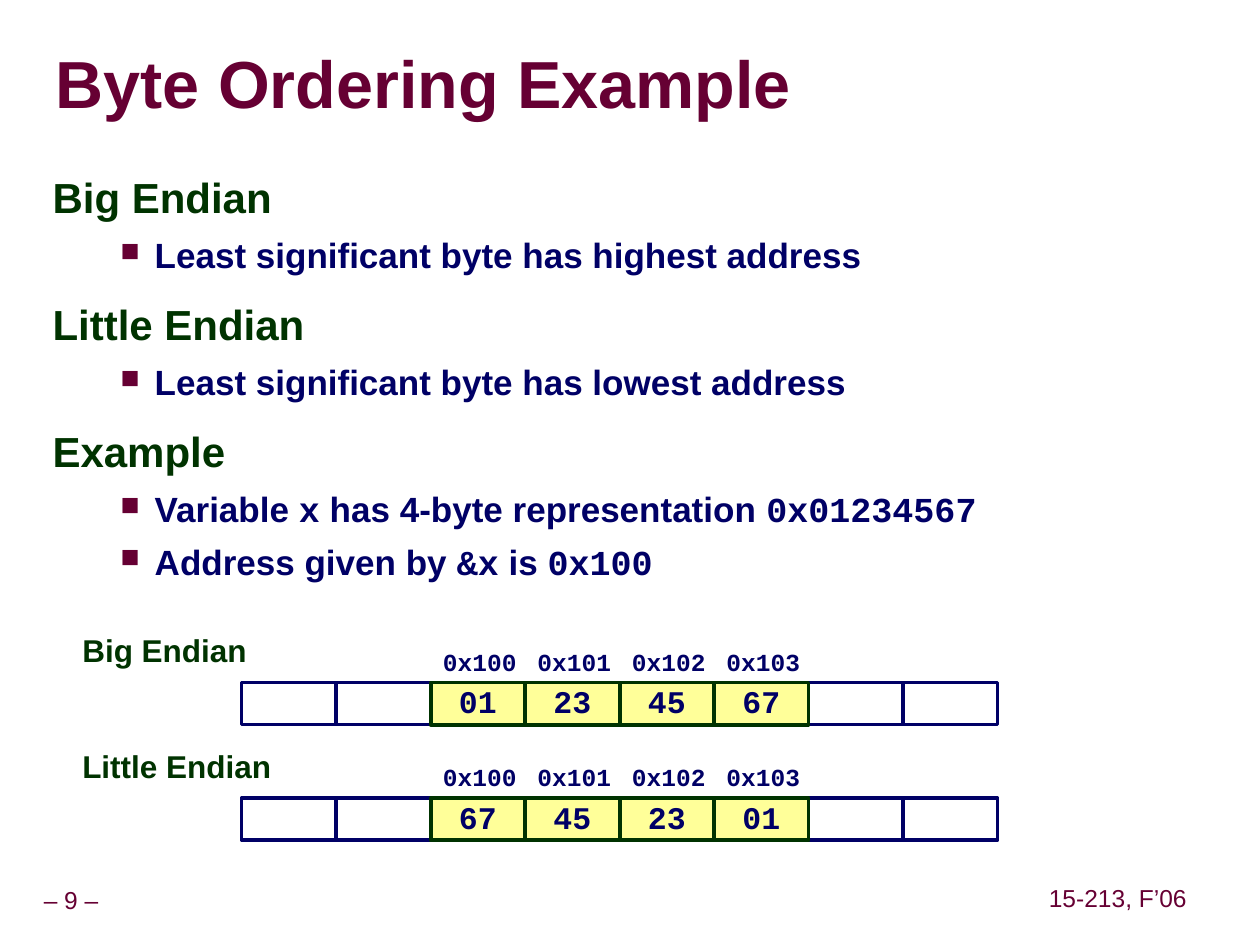
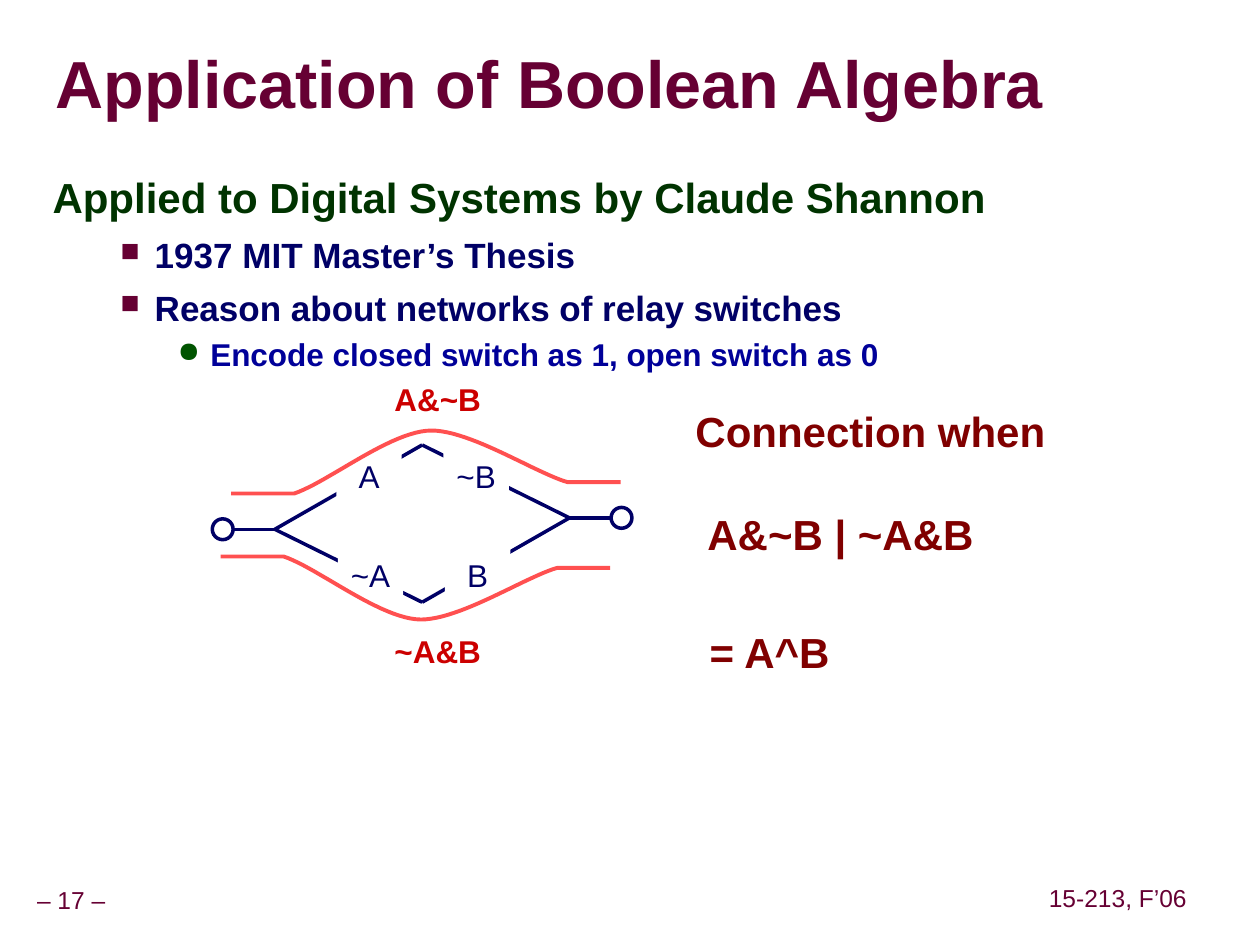
"""Build two lecture slides: byte ordering and an application of Boolean algebra."""
from dataclasses import dataclass, replace
from typing import NamedTuple, Optional

from lxml.etree import SubElement
from pptx import Presentation
from pptx.dml.color import RGBColor
from pptx.enum.shapes import MSO_CONNECTOR, MSO_SHAPE
from pptx.enum.text import MSO_ANCHOR, PP_ALIGN
from pptx.oxml import parse_xml
from pptx.oxml.ns import nsdecls, qn
from pptx.util import Cm, Pt


@dataclass(frozen=True)
class Theme:
    """Colours, fonts and type sizes shared by the slides."""
    maroon: str = "660033"
    green: str = "003300"
    bullet_green: str = "005400"
    navy: str = "000066"
    blue: str = "000099"
    formula: str = "800000"
    path_label: str = "CC0000"
    path_line: str = "FF5050"
    byte_fill: str = "FFFF99"
    white: str = "FFFFFF"
    shadow: str = "999999"
    sans: str = "Arial"
    mono: str = "Courier New"
    title: float = 38
    heading: float = 24
    point: float = 20
    label: float = 18
    small: float = 14


THEME = Theme()


class Box(NamedTuple):
    """A rectangle in centimetres."""
    left: float
    top: float
    width: float
    height: float

    def lengths(self) -> list:
        """Return the four lengths for python-pptx."""
        return [Cm(value) for value in self]


class Point(NamedTuple):
    """A position in centimetres."""
    x: float
    y: float


class Run(NamedTuple):
    """A stretch of text, set as code or as prose."""
    text: str
    code: bool = False


class Line(NamedTuple):
    """One body paragraph: its outline level and its runs."""
    level: int
    runs: list


@dataclass(frozen=True)
class TextStyle:
    """How a piece of text is set inside its shape."""
    size: float
    color: str
    bold: bool = False
    font: str = THEME.sans
    align: PP_ALIGN = PP_ALIGN.LEFT
    anchor: MSO_ANCHOR = MSO_ANCHOR.TOP
    spacing: Optional[float] = None
    inset: tuple = (0.25, 0.13)
    wrap: bool = False
    shadow: bool = False


@dataclass(frozen=True)
class Level:
    """An outline level of the body text."""
    style: TextStyle
    margin: float
    hanging: float
    before: float
    bullet: str = ""
    bullet_color: str = ""
    bullet_percent: int = 100


CENTERED = TextStyle(THEME.label, THEME.navy, align=PP_ALIGN.CENTER,
                     anchor=MSO_ANCHOR.MIDDLE, spacing=0.9, inset=(0.13, 0.13))
FOOTER = replace(CENTERED, size=THEME.small, color=THEME.maroon)
TITLE = TextStyle(THEME.title, THEME.maroon, True, anchor=MSO_ANCHOR.MIDDLE,
                  spacing=0.87, inset=(0, 0), wrap=True, shadow=True)
BYTE = replace(CENTERED, bold=True, font=THEME.mono)
ADDRESS = TextStyle(THEME.small, THEME.navy, True, THEME.mono,
                    anchor=MSO_ANCHOR.MIDDLE)
ROW_LABEL = TextStyle(THEME.label, THEME.green, True, spacing=0.95,
                      inset=(0.18, 0.08), wrap=True)
SWITCH = TextStyle(THEME.label, THEME.navy, align=PP_ALIGN.CENTER)
PATH_LABEL = replace(CENTERED, color=THEME.path_label, bold=True,
                     anchor=MSO_ANCHOR.TOP)
FORMULA = TextStyle(THEME.heading, THEME.formula, True)
RESULT = replace(FORMULA, align=PP_ALIGN.CENTER, inset=(0.13, 0.13))

HEADING = TextStyle(THEME.heading, THEME.green, True, spacing=0.95, wrap=True)
LEVELS = [
    Level(HEADING, 1.07, 1.07, 15),
    Level(replace(HEADING, size=THEME.point, color=THEME.navy, spacing=None),
          2.06, 0.69, 6.2, "■", THEME.maroon, 75),
    Level(replace(HEADING, size=THEME.label, color=THEME.blue, spacing=1.07),
          3.18, 0.66, 2.2, "●", THEME.bullet_green, 90),
]

BYTE_ROW = Box(4.87, 13.76, 15.24, 0.85)
CELL_COUNT = 8
FIRST_BYTE = 2
ROW_PITCH = 2.33
BYTE_ORDERS = {"Big Endian": ["01", "23", "45", "67"],
               "Little Endian": ["67", "45", "23", "01"]}


def rgb(color: str) -> RGBColor:
    """Turn a hex code into a colour."""
    return RGBColor.from_string(color)


def add_run(paragraph, text: str, style: TextStyle) -> None:
    """Append one formatted run."""
    run = paragraph.add_run()
    run.text = text
    font = run.font
    font.size, font.bold, font.name = Pt(style.size), style.bold, style.font
    font.color.rgb = rgb(style.color)
    if style.shadow:
        run._r.rPr.find(qn("a:solidFill")).addnext(parse_xml(
            f'<a:effectLst {nsdecls("a")}><a:outerShdw dist="38100" dir="2700000">'
            f'<a:srgbClr val="{THEME.shadow}"/></a:outerShdw></a:effectLst>'))


def prepare_frame(shape, style: TextStyle):
    """Set the insets, wrapping and anchor of a shape's text."""
    frame = shape.text_frame
    frame.word_wrap, frame.vertical_anchor = style.wrap, style.anchor
    frame.margin_left = frame.margin_right = Cm(style.inset[0])
    frame.margin_top = frame.margin_bottom = Cm(style.inset[1])
    return frame


def format_paragraph(paragraph, style: TextStyle) -> None:
    """Set a paragraph's alignment and line spacing."""
    paragraph.alignment, paragraph.line_spacing = style.align, style.spacing


def write(shape, text: str, style: TextStyle):
    """Write one paragraph into a shape and return its frame."""
    frame = prepare_frame(shape, style)
    format_paragraph(frame.paragraphs[0], style)
    add_run(frame.paragraphs[0], text, style)
    return frame


def add_label(slide, box: Box, text: str, style: TextStyle):
    """Add a text box with one paragraph and return its frame."""
    return write(slide.shapes.add_textbox(*box.lengths()), text, style)


def add_figure(slide, kind: MSO_SHAPE, box: Box, fill: str, outline: str = "",
               weight: float = 2):
    """Add a filled preset shape, outlined if a colour is given."""
    figure = slide.shapes.add_shape(kind, *box.lengths())
    figure.shadow.inherit = False
    figure.fill.solid()
    figure.fill.fore_color.rgb = rgb(fill)
    if outline:
        figure.line.color.rgb, figure.line.width = rgb(outline), Pt(weight)
    else:
        figure.line.fill.background()
    return figure


def add_wire(slide, start: Point, end: Point) -> None:
    """Draw a straight wire of the relay network."""
    ends = [Cm(value) for value in (*start, *end)]
    wire = slide.shapes.add_connector(MSO_CONNECTOR.STRAIGHT, *ends)
    wire.line.color.rgb, wire.line.width = rgb(THEME.navy), Pt(2)
    SubElement(wire._element.spPr, qn("a:effectLst"))


def add_body(slide, lines: list[Line]) -> None:
    """Add the outlined body text."""
    body = slide.shapes.add_textbox(*Box(0.81, 3.4, 23.09, 14.5).lengths())
    frame = prepare_frame(body, HEADING)
    for index, line in enumerate(lines):
        level = LEVELS[line.level]
        paragraph = frame.add_paragraph() if index else frame.paragraphs[0]
        paragraph.level = line.level
        format_paragraph(paragraph, level.style)
        paragraph.space_before = Pt(level.before if index else 0)
        properties = paragraph._p.get_or_add_pPr()
        properties.set("marL", str(Cm(level.margin)))
        properties.set("indent", str(-Cm(level.hanging)))
        if level.bullet:
            color = SubElement(properties, qn("a:buClr"))
            SubElement(color, qn("a:srgbClr"), val=level.bullet_color)
            SubElement(properties, qn("a:buSzPct"), val=str(level.bullet_percent * 1000))
            SubElement(properties, qn("a:buChar"), char=level.bullet)
        for run in line.runs:
            font = THEME.mono if run.code else THEME.sans
            add_run(paragraph, run.text, replace(level.style, font=font))


def add_page(deck, number: int, title: str, lines: list[Line]):
    """Add a slide with its footers, title and body."""
    slide = deck.slides.add_slide(deck.slide_layouts[6])
    add_label(slide, Box(-0.23, 17.78, 3.33, 0.79), f"– {number} –", FOOTER)
    add_label(slide, Box(21.01, 17.75, 3.05, 0.79), "15-213, F’06", FOOTER)
    add_label(slide, Box(1.12, 0.69, 24.21, 2.16), title, TITLE)
    add_body(slide, lines)
    return slide


def add_byte_row(slide, row: int, name: str, values: list[str]) -> None:
    """Draw a strip of memory with addresses above the four bytes of x."""
    top = BYTE_ROW.top + row * ROW_PITCH
    width = BYTE_ROW.width / CELL_COUNT
    cells = [Box(BYTE_ROW.left + index * width, top, width, BYTE_ROW.height)
             for index in range(CELL_COUNT)]
    used = cells[FIRST_BYTE:FIRST_BYTE + len(values)]
    for offset, cell in enumerate(used):
        address = add_figure(slide, MSO_SHAPE.RECTANGLE,
                             cell._replace(top=top - 0.85), THEME.white)
        write(address, f"0x10{offset}", ADDRESS)
    for cell in cells:
        if cell not in used:
            add_figure(slide, MSO_SHAPE.RECTANGLE, cell, THEME.white, THEME.navy)
    add_label(slide, Box(1.48, top - 1.06, 4.95, 0.86), name, ROW_LABEL)
    for cell, value in zip(used, values):
        byte = add_figure(slide, MSO_SHAPE.RECTANGLE, cell, THEME.byte_fill,
                          THEME.green, 2.25)
        write(byte, value, BYTE)


def bezier(controls: list[Point], steps: int = 24) -> list[Point]:
    """Sample a cubic curve, leaving out its first point."""
    points = []
    for step in range(1, steps + 1):
        t = step / steps
        weights = ((1 - t) ** 3, 3 * t * (1 - t) ** 2, 3 * t * t * (1 - t), t ** 3)
        points.append(Point(*(sum(weight * value for weight, value in zip(weights, axis))
                              for axis in zip(*controls))))
    return points


def add_path(slide, start: Point, direction: int) -> None:
    """Trace a current path bulging up (-1) or down (1)."""
    bend, peak, landing = Point(1.27, 0), Point(4.04, 1.27), Point(6.78, 0.23)
    course = [Point(0, 0), bend,
              *bezier([bend, Point(1.96, 0.23), Point(3.23, 1.27), peak]),
              *bezier([peak, Point(4.83, 1.27), Point(6.15, 0.41), landing]),
              Point(7.85, 0.23)]
    spots = [(Cm(start.x + x), Cm(start.y + direction * y)) for x, y in course]
    builder = slide.shapes.build_freeform(*spots[0])
    builder.add_line_segments(spots[1:], close=False)
    trace = builder.convert_to_shape()
    trace.shadow.inherit = False
    trace.fill.background()
    trace.line.color.rgb, trace.line.width = rgb(THEME.path_line), Pt(2.25)


def add_relay_network(slide) -> None:
    """Draw the relay network with its switches, terminals and current paths."""
    left, right = Point(5.54, 10.67), Point(11.48, 10.44)
    upper, lower = Point(8.51, 8.97), Point(8.51, 12.14)
    source, sink = Point(4.7, left.y), Point(12.32, right.y)
    for start, end in [(left, upper), (left, lower), (upper, right), (lower, right),
                       (right, sink), (source, left)]:
        add_wire(slide, start, end)
    for name, x, y in [("A", 6.78, 9.09), ("~A", 6.81, 11.07),
                       ("~B", 8.94, 9.09), ("B", 8.97, 11.07)]:
        switch = add_figure(slide, MSO_SHAPE.RECTANGLE, Box(x, y, 1.32, 1.02), THEME.white)
        write(switch, name, SWITCH)
    size = 0.42
    for x, y in [(source.x - size, source.y), sink]:
        add_figure(slide, MSO_SHAPE.OVAL, Box(x, y - size / 2, size, size),
                   THEME.white, THEME.navy)
    for name, top, start, direction in [("A&~B", 7.62, Point(4.66, 9.95), -1),
                                        ("~A&B", 12.7, Point(4.45, 11.22), 1)]:
        add_path(slide, start, direction)
        add_label(slide, Box(7.82, top, 2.01, 0.94), name, PATH_LABEL)


def add_conclusion(slide) -> None:
    """State when the network connects."""
    frame = add_label(slide, Box(13.77, 8.05, 7.57, 5.33), "Connection when", FORMULA)
    condition = frame.add_paragraph()
    condition.space_before = Pt(30)
    condition._p.get_or_add_pPr().set("marL", str(Cm(0.24)))
    add_run(condition, "A&~B | ~A&B", FORMULA)
    add_label(slide, Box(14.17, 12.5, 2.69, 1.27), "= A^B", RESULT)


def main() -> None:
    """Build and save the deck."""
    deck = Presentation()
    deck.slide_width, deck.slide_height = Cm(25.4), Cm(19.05)
    ordering = add_page(deck, 9, "Byte Ordering Example", [
        Line(0, [Run("Big Endian")]),
        Line(1, [Run("Least significant byte has highest address")]),
        Line(0, [Run("Little Endian")]),
        Line(1, [Run("Least significant byte has lowest address")]),
        Line(0, [Run("Example")]),
        Line(1, [Run("Variable "), Run("x", True), Run(" has 4-byte representation "),
                 Run("0x01234567", True)]),
        Line(1, [Run("Address given by "), Run("&x", True), Run(" is "),
                 Run("0x100", True)])])
    for row, (name, values) in enumerate(BYTE_ORDERS.items()):
        add_byte_row(ordering, row, name, values)
    algebra = add_page(deck, 17, "Application of Boolean Algebra", [
        Line(0, [Run("Applied to Digital Systems by Claude Shannon")]),
        Line(1, [Run("1937 MIT Master’s Thesis")]),
        Line(1, [Run("Reason about networks of relay switches")]),
        Line(2, [Run("Encode closed switch as 1, open switch as 0")])])
    add_relay_network(algebra)
    add_conclusion(algebra)
    deck.save("out.pptx")


if __name__ == "__main__":
    main()
